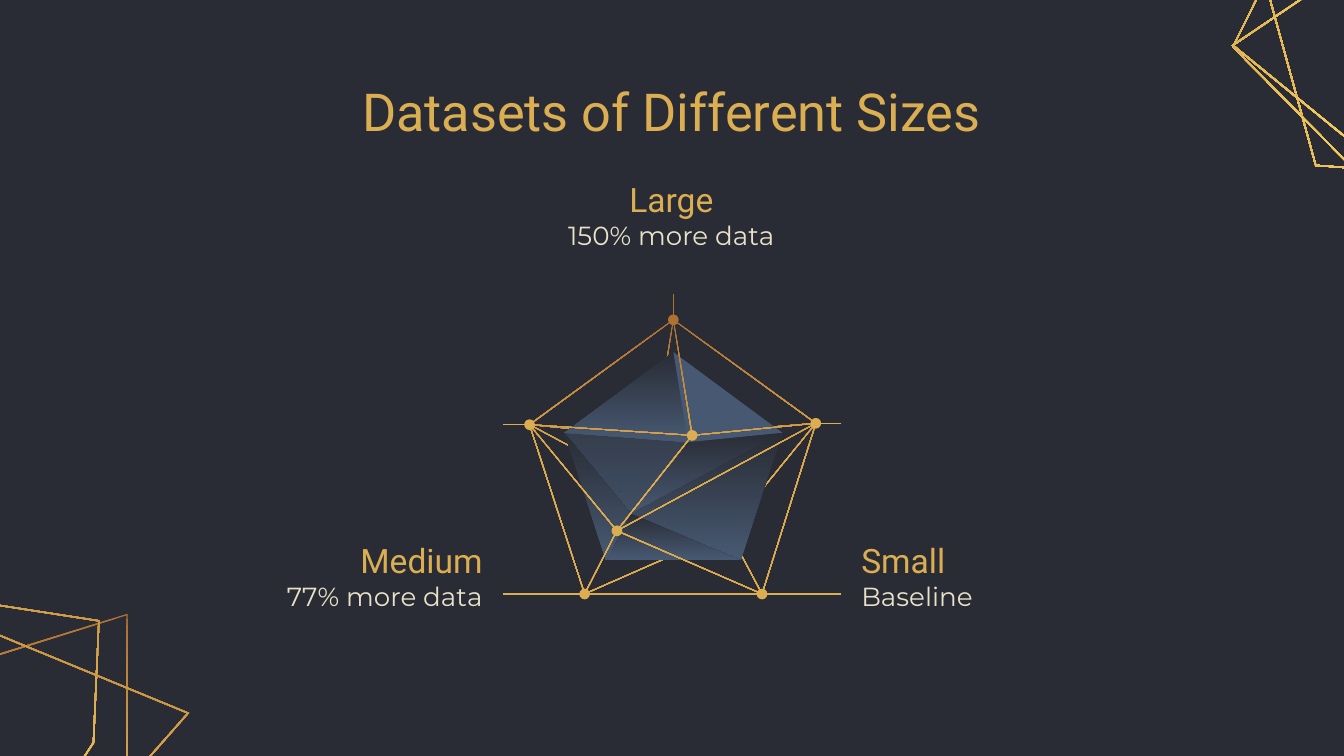
from dataclasses import dataclass
from math import cos, hypot, radians, sin
from typing import NamedTuple

from lxml.etree import SubElement
from pptx import Presentation
from pptx.dml.color import RGBColor
from pptx.enum.shapes import MSO_CONNECTOR, MSO_SHAPE
from pptx.enum.text import MSO_ANCHOR as Anchor, MSO_AUTO_SIZE as AutoSize, PP_ALIGN as Align
from pptx.oxml.ns import qn
from pptx.util import Inches, Pt


@dataclass(frozen=True)
class Theme:
    background: str = "292C35"
    gold: str = "DCAE52"
    bronze: str = "AF7132"
    cream: str = "E9E2C9"
    slate: str = "475972"
    frame_fill: tuple = ("AF7132", "FFDD6B", "DCAE52")
    net_fill: tuple = ("AF7132", "DCAE52", "DCAE52")
    gem_fill: tuple = ("292C35", "475972")
    heading_font: str = "Roboto"
    body_font: str = "Montserrat"
    title_size: int = 28
    heading_size: int = 18
    body_size: int = 14
    line_width: float = 0.75


THEME = Theme()


class Point(NamedTuple):
    x: float
    y: float


class Frame(NamedTuple):
    center: Point
    rotation: float
    corners: list


class Label(NamedTuple):
    heading: str
    detail: str
    left: float
    top: float
    align: Align


FRAMES = [
    Frame(Point(-1.16, 6.78), 0, [(-1.53, 8.99), (-3.26, 5.89), (0.94, 4.58), (0.94, 6.43)]),
    Frame(Point(10.7, 0.22), 85.2, [(9.34, -0.44), (10.42, -0.97), (11.77, 0.22),
                                    (12.09, 1.11), (11.56, 1.36), (9.8, 1.23)]),
    Frame(Point(10.64, 0.65), 85.2, [(9.18, 0.35), (9.58, -0.45), (12.01, 0.21),
                                     (12.17, 1.71), (10.04, 1.22)]),
    Frame(Point(10.62, 0.46), 85.2, [(9.18, 0.35), (11.09, -0.94), (12.17, 1.71), (10.97, 1.81)]),
    Frame(Point(-1.46, 5.83), 23.8, [(-3.35, 7.18), (-3.27, 5.33), (-0.69, 4.4),
                                     (0.73, 4.62), (0.69, 5.52), (-0.78, 7.78)]),
    Frame(Point(-1.14, 6.58), 23.8, [(-2.61, 8.32), (-3.38, 7.21), (-0.72, 4.44),
                                     (1.39, 5.31), (-0.81, 7.81)]),
]
LABELS = [
    Label("Large", "150% more data", 3.69, 1.29, Align.CENTER),
    Label("Medium", "77% more data", 1.08, 3.98, Align.RIGHT),
    Label("Small", "Baseline", 6.31, 3.98, Align.LEFT),
]
# Corner keys: t top, l left, r right, m lower left, n lower right, a and b inner.
FACES = ["rbn", "bmn", "lmb", "tla", "rab", "lab", "tar"]
OUTLINE = "tlmnr"
NET = dict(t=(5.01, 2.38), l=(3.94, 3.16), r=(6.07, 3.15), m=(4.35, 4.42), n=(5.67, 4.42))
BACK_NET = NET | dict(a=(4.87, 3.25), b=(5.42, 3.95))
FRONT_NET = NET | dict(a=(5.15, 3.24), b=(4.59, 3.95))
GEM = dict(t=(5.01, 2.62), l=(4.2, 3.22), r=(5.82, 3.22), m=(4.51, 4.17), n=(5.51, 4.17),
           a=(5.12, 3.29), b=(4.69, 3.82))
LEADERS = [((5.01, 2.19), (5.01, 2.39), THEME.bronze)] + [
    (start, end, THEME.gold) for start, end in [
        ((4.38, 4.42), (3.74, 4.42)), ((6.26, 4.42), (5.64, 4.42)),
        ((3.94, 3.16), (3.74, 3.16)), ((6.26, 3.15), (6.07, 3.15))]]


def inset(corners: list, depth: float) -> list:
    """Move every edge inward by depth; a negative depth grows the polygon."""
    count = len(corners)
    area = sum(x0 * y1 - x1 * y0 for (x0, y0), (x1, y1) in zip(corners, corners[1:] + corners[:1]))
    side = depth if area > 0 else -depth
    edges = []
    for i, (x0, y0) in enumerate(corners):
        x1, y1 = corners[(i + 1) % count]
        length = hypot(x1 - x0, y1 - y0)
        edges.append(((x1 - x0) / length, (y1 - y0) / length))
    moved = []
    for i, (x, y) in enumerate(corners):
        (ux, uy), (vx, vy) = edges[i - 1], edges[i]
        scale = side / (ux * vy - uy * vx)
        moved.append(Point(x + (ux - vx) * scale, y + (uy - vy) * scale))
    return moved


def unrotate(corners: list, center: Point, degrees: float) -> list:
    c, s = cos(radians(degrees)), sin(radians(degrees))
    return [Point(center.x + (x - center.x) * c + (y - center.y) * s,
                  center.y - (x - center.x) * s + (y - center.y) * c) for x, y in corners]


def paint(sp, colors: tuple) -> None:
    """Fill with one colour, or with a gradient from top to bottom."""
    sp.shadow.inherit = False
    sp.line.fill.background()
    if len(colors) == 1:
        sp.fill.solid()
        sp.fill.fore_color.rgb = RGBColor.from_string(colors[0])
        return
    sp.fill.gradient()
    sp.fill.gradient_angle = 270
    stops = sp.element.spPr.find(".//" + qn("a:gsLst"))
    stops.clear()
    for i, color in enumerate(colors):
        stop = SubElement(stops, qn("a:gs"), pos=str(100000 * i // (len(colors) - 1)))
        SubElement(stop, qn("a:srgbClr"), val=color)


def add_polygon(s, contours: list, colors: tuple, rotation: float = 0) -> None:
    """Draw the first contour, with the others as holes."""
    paths = [[(Inches(x), Inches(y)) for x, y in contour] for contour in contours]
    builder = s.shapes.build_freeform(*paths[0][0], scale=1.0)
    for i, path in enumerate(paths):
        if i:
            builder.move_to(*path[0])
        builder.add_line_segments(path[1:], close=True)
    sp = builder.convert_to_shape()
    sp.rotation = rotation
    paint(sp, colors)


def add_frame(s, frame: Frame) -> None:
    corners = unrotate(frame.corners, frame.center, frame.rotation)
    add_polygon(s, [corners, inset(corners, 0.01)], THEME.frame_fill, frame.rotation)


def pick(nodes: dict, keys: str) -> list:
    return [nodes[key] for key in keys]


def add_net(s, nodes: dict) -> None:
    half = 0.003
    holes = [inset(pick(nodes, face), half) for face in FACES]
    add_polygon(s, [inset(pick(nodes, OUTLINE), -half)] + holes, THEME.net_fill)


def add_gem(s) -> None:
    for face in [OUTLINE] + FACES:
        if face != "lab":
            add_polygon(s, [pick(GEM, face)], (THEME.slate,) if face == "tar" else THEME.gem_fill)


def add_dot(s, center: tuple, color: str) -> None:
    radius = 0.04
    x, y = center
    sp = s.shapes.add_shape(MSO_SHAPE.OVAL, Inches(x - radius), Inches(y - radius),
                            Inches(2 * radius), Inches(2 * radius))
    paint(sp, (color,))


def add_leader(s, start: tuple, end: tuple, color: str) -> None:
    line = s.shapes.add_connector(MSO_CONNECTOR.STRAIGHT, *map(Inches, start + end))
    line.line.color.rgb = RGBColor.from_string(color)
    line.line.width = Pt(THEME.line_width)
    SubElement(line.element.spPr, qn("a:effectLst"))


def write(sp, text: str, align: Align, anchor: Anchor, font: str, size: int, color: str) -> None:
    tf = sp.text_frame
    tf.text = text
    tf.word_wrap = True
    tf.auto_size = AutoSize.NONE
    tf.vertical_anchor = anchor
    tf.margin_left = tf.margin_right = tf.margin_top = tf.margin_bottom = Inches(0.1)
    p = tf.paragraphs[0]
    p.alignment = align
    r = p.runs[0]
    r.font.name, r.font.size = font, Pt(size)
    r.font.color.rgb = RGBColor.from_string(color)


def add_label(s, label: Label) -> None:
    left, width = Inches(label.left), Inches(2.61)
    detail = s.shapes.add_textbox(left, Inches(label.top + 0.24), width, Inches(0.64))
    write(detail, label.detail, label.align, Anchor.TOP,
          THEME.body_font, THEME.body_size, THEME.cream)
    heading = s.shapes.add_textbox(left, Inches(label.top), width, Inches(0.38))
    write(heading, label.heading, label.align, Anchor.MIDDLE,
          THEME.heading_font, THEME.heading_size, THEME.gold)


def main() -> None:
    prs = Presentation()
    prs.slide_width = Inches(10)
    prs.slide_height = prs.slide_width * 9 // 16
    s = prs.slides.add_slide(prs.slide_layouts[5])
    s.background.fill.solid()
    s.background.fill.fore_color.rgb = RGBColor.from_string(THEME.background)
    for frame in FRAMES:
        add_frame(s, frame)
    title = s.shapes.title
    title.left, title.top, title.width, title.height = map(Inches, (2.18, 0.59, 5.63, 0.47))
    write(title, "Datasets of Different Sizes", Align.CENTER, Anchor.MIDDLE,
          THEME.heading_font, THEME.title_size, THEME.gold)
    for leader in LEADERS:
        add_leader(s, *leader)
    add_net(s, BACK_NET)
    add_gem(s)
    add_net(s, FRONT_NET)
    for key, center in FRONT_NET.items():
        add_dot(s, center, THEME.bronze if key == "t" else THEME.gold)
    for label in LABELS:
        add_label(s, label)
    prs.save("out.pptx")


if __name__ == "__main__":
    main()
